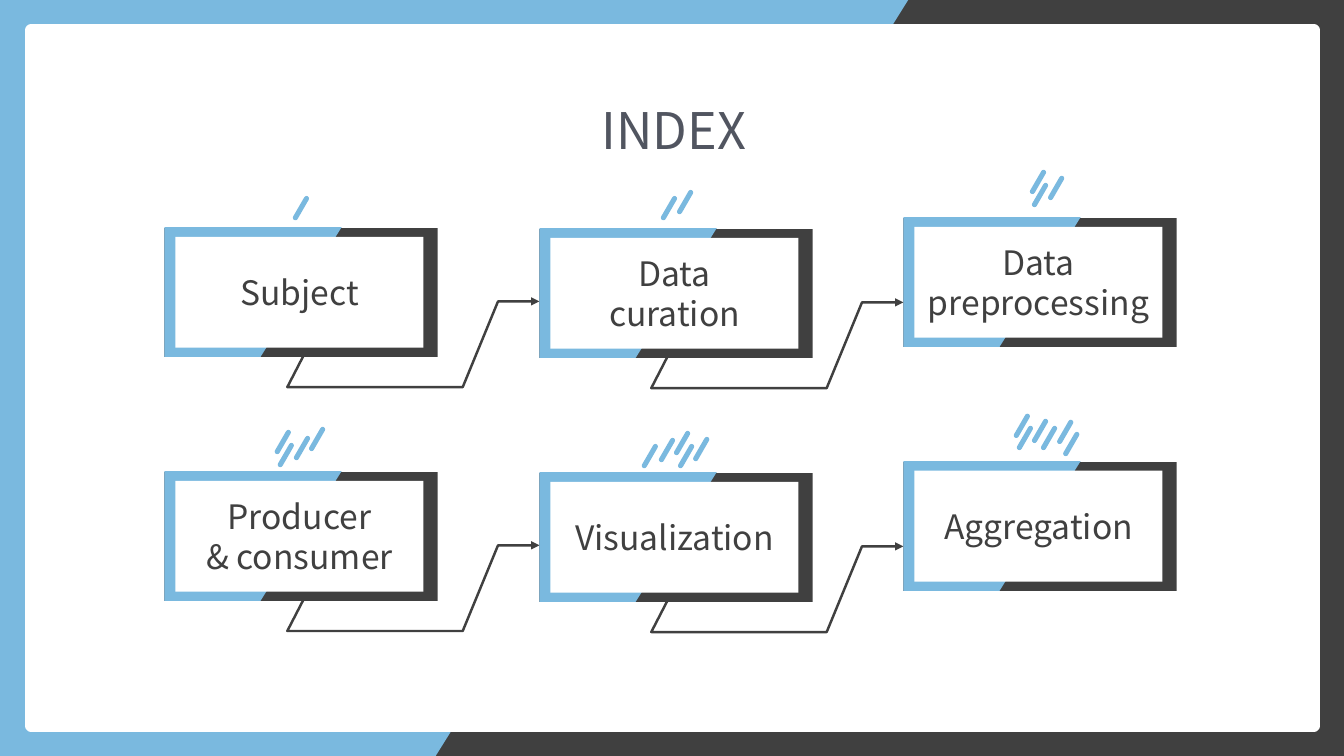
"""Build the INDEX slide: six framed topics in two rows, joined by bent arrows."""
from lxml import etree
from pptx import Presentation
from pptx.dml.color import RGBColor
from pptx.enum.shapes import MSO_SHAPE as Shape
from pptx.enum.text import MSO_ANCHOR as Anchor, MSO_AUTO_SIZE as AutoSize, PP_ALIGN as Align
from pptx.oxml.ns import qn
from pptx.util import Pt

PX = 9144
BLUE, DARK, WHITE, TITLE_GREY = "7AB9DF", "404040", "FFFFFF", "515560"
FONT = "Noto Sans CJK KR"
COLUMNS = [(163, 226), (535, 227), (896, 216)]
ROW_STEP = 242
TOPICS = [
    [
        ("Subject", [(133, -33)]),
        ("Data\ncuration", [(126, -34), (142, -40)]),
        ("Data\npreprocessing", [(131, -49), (133, -36), (149, -43)]),
    ],
    [
        ("Producer\n& consumer", [(115, -43), (118, -30), (134, -37), (149, -46)]),
        ("Visualization", [(107, -30), (124, -36), (139, -43), (143, -30), (158, -37)]),
        ("Aggregation", [(115, -49), (118, -37), (133, -44), (142, -37), (158, -43), (164, -31)]),
    ],
]


def color(value):
    """Turn a hex string into a colour."""
    return RGBColor.from_string(value)


def set_all(target, values):
    """Set every attribute in a dict on the target."""
    for name, value in values.items():
        setattr(target, name, value)


def place(shape, left, top, width, height):
    """Position and size a shape in px."""
    set_all(shape, {"left": left * PX, "top": top * PX, "width": width * PX, "height": height * PX})


def write(shape, text, size, text_color, anchor, line_spacing=None):
    """Write centred paragraphs into a shape."""
    frame = shape.text_frame
    frame.text = text
    set_all(frame, {"word_wrap": True, "auto_size": AutoSize.NONE, "vertical_anchor": anchor})
    for paragraph in frame.paragraphs:
        set_all(paragraph, {"alignment": Align.CENTER, "line_spacing": line_spacing})
        set_all(paragraph.font, {"name": FONT, "size": Pt(size), "bold": False})
        paragraph.font.color.rgb = color(text_color)


def add_block(slide, kind, box, fill):
    """Add a borderless shape with a solid fill."""
    shape = slide.shapes.add_shape(kind, *(length * PX for length in box))
    shape.shadow.inherit = False
    shape.fill.solid()
    shape.fill.fore_color.rgb = color(fill)
    shape.line.fill.background()
    return shape


def add_split_block(slide, box):
    """Add a rectangle split by a slanted edge into blue and dark."""
    shape = add_block(slide, Shape.RECTANGLE, box, BLUE)
    shape.fill.gradient()
    shape.fill.gradient_angle = 148
    for stop, value in zip(shape.fill.gradient_stops, (DARK, BLUE)):
        stop.position = 0.5
        stop.color.rgb = color(value)


def add_topic(slide, left, top, text, strokes):
    """Add a framed topic with its slanted tally strokes."""
    add_split_block(slide, (left, top, 271, 128))
    panel = add_block(slide, Shape.RECTANGLE, (left + 11, top + 9, 246, 110), WHITE)
    write(panel, text, 24, DARK, Anchor.MIDDLE)
    for across, down in strokes:
        stroke = add_block(slide, Shape.ROUNDED_RECTANGLE, (left + across, top + down, 5, 27), BLUE)
        stroke.rotation = 30
        stroke.adjustments[0] = 0.5


def add_bent_arrow(slide, source_top, target_left):
    """Add an arrow from below one topic to the left side of the next."""
    route = [(-234, 127), (-250, 158), (-76, 158), (-41, 73), (0, 73)]
    points = [(target_left + across, source_top + down) for across, down in route]
    builder = slide.shapes.build_freeform(*points[0], scale=PX)
    builder.add_line_segments(points[1:], close=False)
    arrow = builder.convert_to_shape()
    arrow.shadow.inherit = False
    arrow.fill.background()
    arrow.line.color.rgb = color(DARK)
    arrow.line.width = Pt(1.75)
    etree.SubElement(arrow.line._get_or_add_ln(), qn("a:tailEnd"), type="triangle")


def add_slide_frame(slide):
    """Add the two-tone border around the white page."""
    add_split_block(slide, (0, 0, 1333, 750))
    page = add_block(slide, Shape.RECTANGLE, (31, 30, 1272, 690), WHITE)
    page.line.color.rgb = color(WHITE)
    page.line.width = Pt(8.5)


def add_title(slide, text):
    """Place the title above the slide frame."""
    title = slide.shapes.title
    slide.shapes._spTree.append(title._element)
    place(title, 367, 63, 603, 87)
    write(title, text, 36, TITLE_GREY, Anchor.TOP, 1.5)


def main():
    """Build and save the slide."""
    presentation = Presentation()
    set_all(presentation, {"slide_width": 1333 * PX, "slide_height": 750 * PX})
    slide = presentation.slides.add_slide(presentation.slide_layouts[5])
    add_slide_frame(slide)
    add_title(slide, "INDEX")
    for row, topics in enumerate(TOPICS):
        shift = row * ROW_STEP
        for (_, source_top), (target_left, _) in zip(COLUMNS, COLUMNS[1:]):
            add_bent_arrow(slide, source_top + shift, target_left)
        for (left, top), (text, strokes) in zip(COLUMNS, topics):
            add_topic(slide, left, top + shift, text, strokes)
    presentation.save("out.pptx")


if __name__ == "__main__":
    main()
